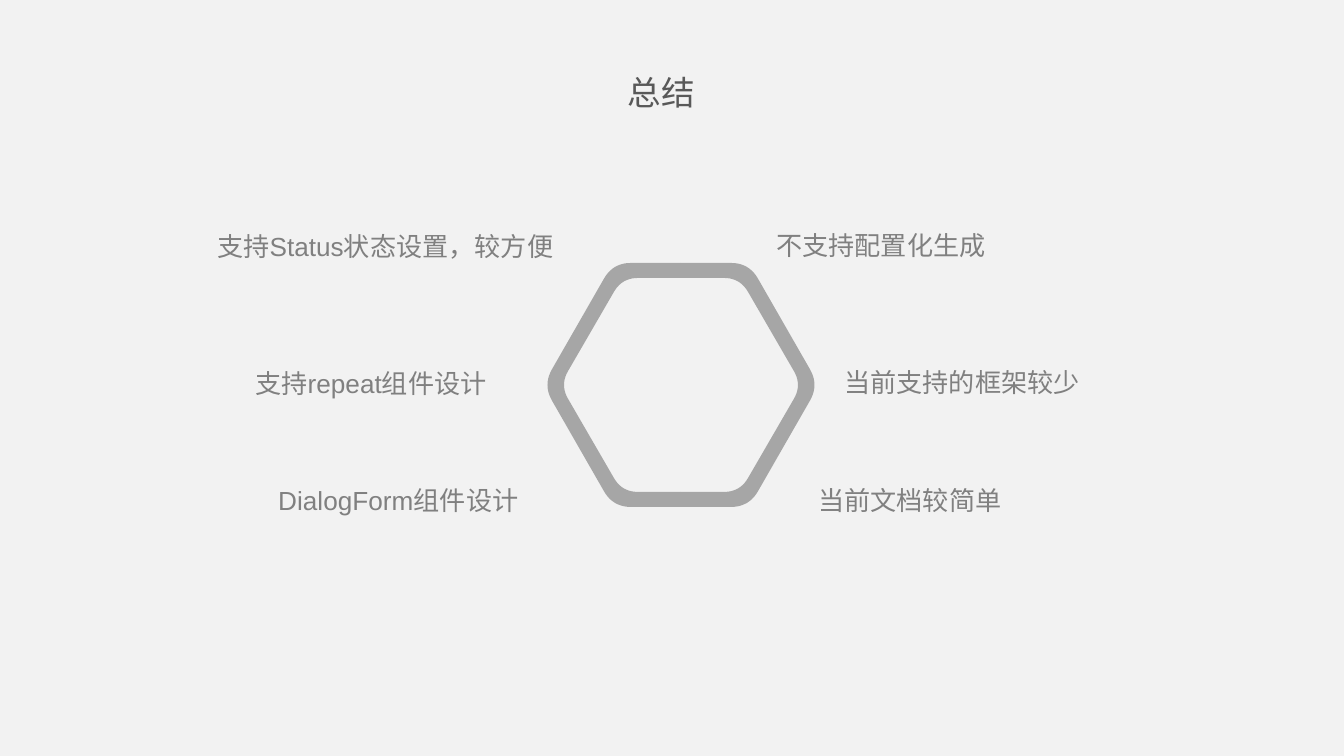
import pptx
import pptx.dml.color
import pptx.enum.text
import pptx.util

RGB = pptx.dml.color.RGBColor
ALIGN = pptx.enum.text.PP_ALIGN
BACK = RGB(0xF2, 0xF2, 0xF2)
RING = RGB(0xA6, 0xA6, 0xA6)
DARK = RGB(0x59, 0x59, 0x59)
GRAY = RGB(0x80, 0x80, 0x80)
SCALE = 914400 / 134.4
MID = (681, 385)
OUTER = dict(top=68, apex=138, half=122, cut=18)
INNER = dict(top=59, apex=121, half=107, cut=16)
STEPS = 10

NOTES = [
    ("支持Status状态设置，较方便", 204, 208, 384, 60),
    ("支持repeat组件设计", 242, 345, 284, 60),
    ("DialogForm组件设计", 265, 462, 284, 55),
    ("不支持配置化生成", 763, 207, 317, 55),
    ("当前支持的框架较少", 831, 344, 317, 55),
    ("当前文档较简单", 805, 462, 317, 55),
]


def emu(px):
    return pptx.util.Emu(round(px * SCALE))


def write(frame, text, size=14, color=GRAY, align=ALIGN.JUSTIFY, lead=1.5, font="Arial"):
    frame.word_wrap = True
    frame.auto_size = pptx.enum.text.MSO_AUTO_SIZE.SHAPE_TO_FIT_TEXT
    frame.vertical_anchor = pptx.enum.text.MSO_ANCHOR.TOP
    para = frame.paragraphs[0]
    para.alignment = align
    para.line_spacing = lead
    run = para.add_run()
    run.text = text
    run.font.name = font
    run.font.size = pptx.util.Pt(size)
    run.font.color.rgb = color


def shift(start, goal, length):
    dx, dy = goal[0] - start[0], goal[1] - start[1]
    part = length / (dx * dx + dy * dy) ** 0.5
    return start[0] + dx * part, start[1] + dy * part


def bend(prev, knot, after, cut):
    first, last = shift(knot, prev, cut), shift(knot, after, cut)
    for step in range(STEPS + 1):
        t = step / STEPS
        yield tuple(
            (1 - t) ** 2 * a + 2 * t * (1 - t) * b + t * t * c
            for a, b, c in zip(first, knot, last)
        )


def trace(top, apex, half, cut):
    knots = [(0, -half), (top, -half), (apex, 0), (top, half), (0, half)]
    points = [knots[0]]
    for prev, knot, after in zip(knots, knots[1:], knots[2:]):
        points.extend(bend(prev, knot, after, cut))
    return points + [knots[-1]]


class Deck:
    def __init__(self):
        self.file = pptx.Presentation()
        self.file.slide_width = emu(1344)
        self.file.slide_height = emu(756)
        self.slide = self.file.slides.add_slide(self.file.slide_layouts[5])
        fill = self.slide.background.fill
        fill.solid()
        fill.fore_color.rgb = BACK

    def title(self, text, x, y, w, h):
        shape = self.slide.shapes.title
        shape.left, shape.top, shape.width, shape.height = map(emu, (x, y, w, h))
        write(shape.text_frame, text, size=18, color=DARK, align=ALIGN.CENTER, lead=1.0)

    def note(self, text, x, y, w, h):
        box = self.slide.shapes.add_textbox(*map(emu, (x, y, w, h)))
        write(box.text_frame, text)

    def ring(self, side):
        edge = trace(**OUTER) + trace(**INNER)[::-1]
        points = [(emu(MID[0] + side * x), emu(MID[1] + y)) for x, y in edge]
        draft = self.slide.shapes.build_freeform(*points[0])
        draft.add_line_segments(points[1:], close=True)
        shape = draft.convert_to_shape()
        shape.shadow.inherit = False
        shape.fill.solid()
        shape.fill.fore_color.rgb = RING
        shape.line.fill.background()


def main():
    deck = Deck()
    deck.title("总结", 511, 65, 301, 54)
    for side in (-1, 1):
        deck.ring(side)
    for note in NOTES:
        deck.note(*note)
    deck.file.save("out.pptx")


if __name__ == "__main__":
    main()
